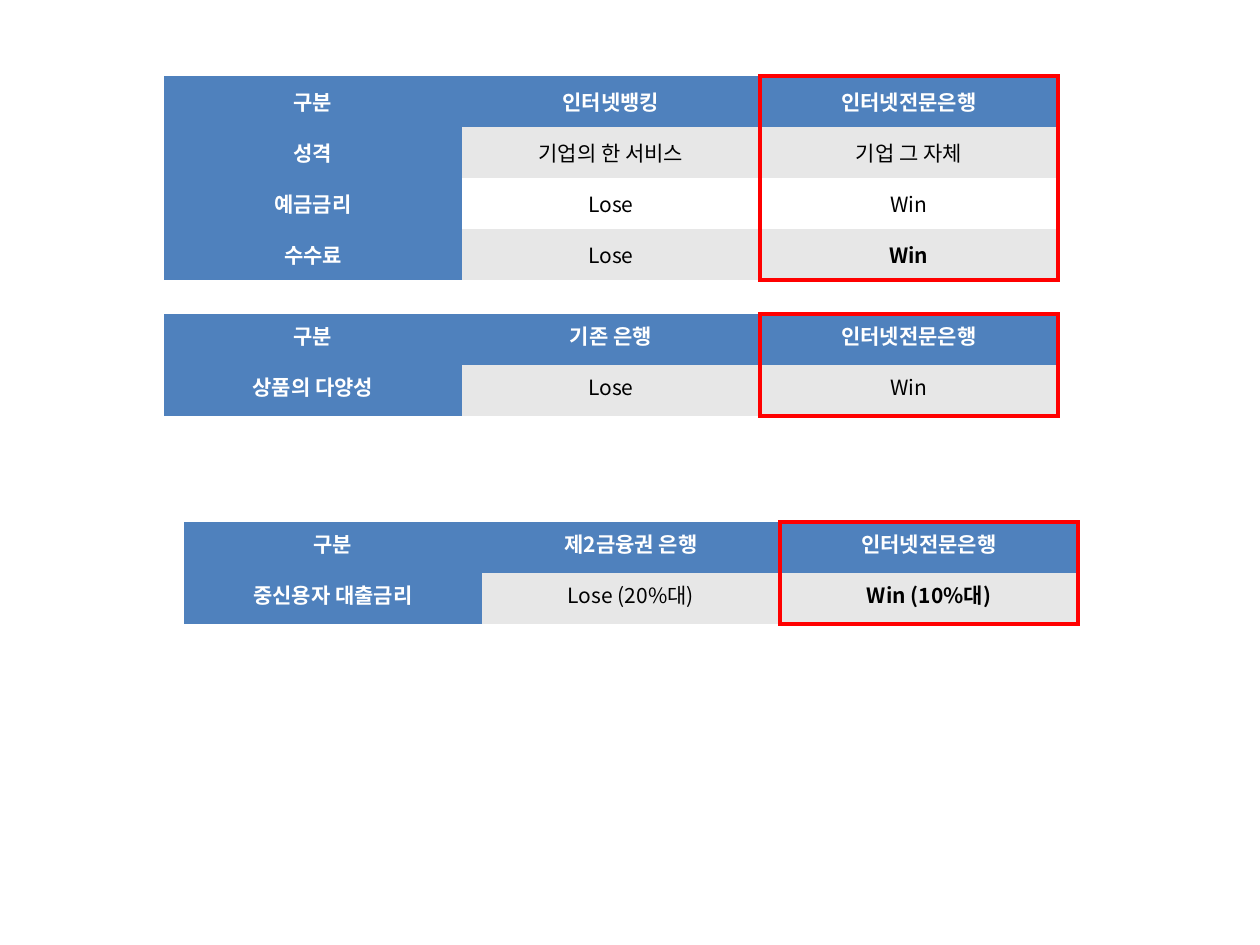
import lxml.etree
import pptx
import pptx.dml.color
import pptx.enum.text
import pptx.oxml.ns
import pptx.util

SCALE = 914400 // 126
COLUMN_WIDTH = 298
ROW_HEIGHT = 51
FONT = "Noto Sans CJK KR"
PLAIN_STYLE = "{2D5ABB26-0587-4C30-8999-92F81FD0307C}"
BLUE = pptx.dml.color.RGBColor(0x4F, 0x81, 0xBD)
GREY = pptx.dml.color.RGBColor(0xE7, 0xE7, 0xE7)
WHITE = pptx.dml.color.RGBColor(0xFF, 0xFF, 0xFF)
BLACK = pptx.dml.color.RGBColor(0, 0, 0)
RED = pptx.dml.color.RGBColor(0xFF, 0, 0)
MIDDLE = pptx.enum.text.MSO_ANCHOR.MIDDLE
TOP = pptx.enum.text.MSO_ANCHOR.TOP

# left, top, anchor, rows, whether the last result is bold
COMPARISONS = [
    (164, 76, MIDDLE, [("구분", "인터넷뱅킹", "인터넷전문은행"),
                       ("성격", "기업의 한 서비스", "기업 그 자체"),
                       ("예금금리", "Lose", "Win"),
                       ("수수료", "Lose", "Win")], True),
    (164, 314, TOP, [("구분", "기존 은행", "인터넷전문은행"),
                     ("상품의 다양성", "Lose", "Win")], False),
    (184, 522, TOP, [("구분", "제2금융권 은행", "인터넷전문은행"),
                     ("중신용자 대출금리", "Lose (20%대)", "Win (10%대)")], True),
]


def pixels(length):
    """Turn whole pixels into EMU."""
    return pptx.util.Emu(length * SCALE)


def add_child(parent, tag, **attributes):
    """Append an XML element with the given attributes."""
    return lxml.etree.SubElement(parent, pptx.oxml.ns.qn(tag), attributes)


def write_text(frame, text, size=12, color=BLACK, bold=False):
    """Write one centred paragraph into a text frame."""
    para = frame.paragraphs[0]
    para.alignment = pptx.enum.text.PP_ALIGN.CENTER
    span = para.add_run()
    span.text = text
    span.font.size = pptx.util.Pt(size)
    span.font.bold = bold
    span.font.color.rgb = color
    span.font.name = FONT
    add_child(span.font._element, "a:ea", typeface=FONT)


def add_borders(cell, sides):
    """Draw red borders on the given sides, in the order L, R, T, B."""
    properties = cell._tc.get_or_add_tcPr()
    for side in sides:
        line = add_child(properties, "a:ln" + side, w=str(pptx.util.Pt(2.25)))
        fill = add_child(line, "a:solidFill")
        add_child(fill, "a:srgbClr", val=str(RED))


def border_sides(row, column, last_row):
    """Name the sides of a cell that touch the frame of the last column."""
    if column == 0:
        return ""
    if column == 1:
        return "R"
    return "LR" + ("T" if row == 0 else "") + ("B" if row == last_row else "")


def add_comparison(page, left, top, anchor, rows, bold_result):
    """Add a comparison table whose last column is framed in red."""
    last_row = len(rows) - 1
    box = page.shapes.add_table(len(rows), 3, pixels(left), pixels(top),
                                pixels(3 * COLUMN_WIDTH),
                                pixels(len(rows) * ROW_HEIGHT))
    table = box.table
    table.first_row = table.horz_banding = False
    style = table._tbl.tblPr.find(pptx.oxml.ns.qn("a:tableStyleId"))
    style.text = PLAIN_STYLE
    for column in table.columns:
        column.width = pixels(COLUMN_WIDTH)
    for row, texts in enumerate(rows):
        table.rows[row].height = pixels(ROW_HEIGHT)
        for column, text in enumerate(texts):
            cell = table.cell(row, column)
            cell.vertical_anchor = anchor
            add_borders(cell, border_sides(row, column, last_row))
            heading = row == 0 or column == 0
            result = bold_result and row == last_row and column == 2
            cell.fill.solid()
            cell.fill.fore_color.rgb = (
                BLUE if heading else GREY if row % 2 else WHITE)
            write_text(cell.text_frame, text, bold=heading or result,
                       color=WHITE if heading else BLACK)


def build_deck():
    """Build and save the deck with its page of comparisons."""
    deck = pptx.Presentation()
    deck.slide_width = pptx.util.Inches(10)
    deck.slide_height = pptx.util.Inches(7.5)
    page = deck.slides.add_slide(deck.slide_layouts[6])
    for comparison in COMPARISONS:
        add_comparison(page, *comparison)
    deck.save("out.pptx")


build_deck()
